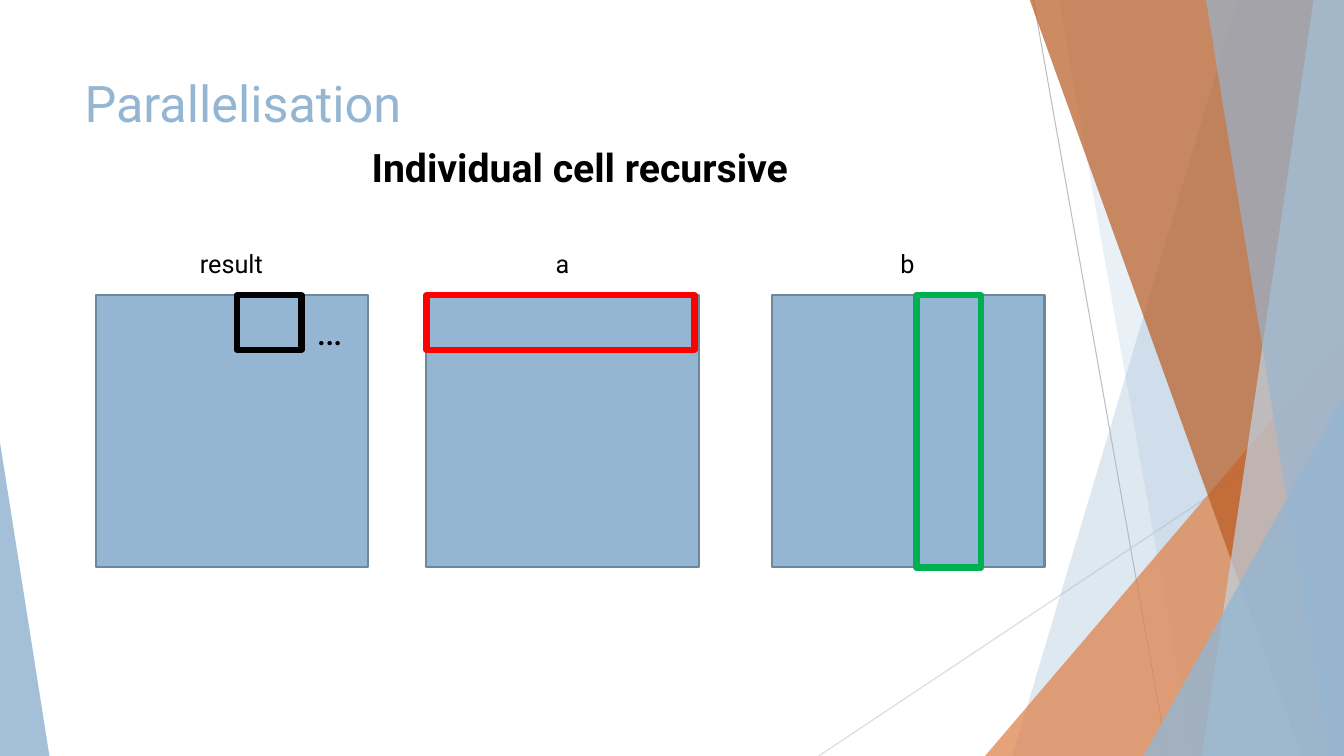
from lxml.etree import SubElement
from pptx import Presentation
from pptx.dml.color import RGBColor
from pptx.enum.shapes import MSO_CONNECTOR, MSO_SHAPE as SHAPE
from pptx.enum.text import MSO_ANCHOR as ANCHOR, PP_ALIGN as ALIGN
from pptx.oxml.ns import qn
from pptx.util import Inches, Pt

color = RGBColor.from_string
BLUE = "94B6D2"

presentation = Presentation()
presentation.slide_width, presentation.slide_height = Inches(13.33), Inches(7.5)
slide = presentation.slides.add_slide(presentation.slide_layouts[6])
shapes = slide.shapes


def paint(shape, fill=None, opacity=100, line=None, width=0):
    shape.shadow.inherit = False
    if fill:
        shape.fill.solid()
        shape.fill.fore_color.rgb = color(fill)
        if opacity < 100:
            fill_color = shape.fill._xPr.find(qn("a:solidFill"))[0]
            SubElement(fill_color, qn("a:alpha"), val=str(opacity * 1000))
    else:
        shape.fill.background()
    if line:
        shape.line.color.rgb = color(line)
        shape.line.width = Pt(width)
    else:
        shape.line.fill.background()


def add_label(text, box, size, align=ALIGN.CENTER, hue="000000", bold=False, wrap=False):
    text_box = shapes.add_textbox(*map(Inches, box))
    text_frame = text_box.text_frame
    text_frame.word_wrap = wrap
    text_frame.vertical_anchor = ANCHOR.TOP
    text_frame.text = text
    paragraph = text_frame.paragraphs[0]
    paragraph.alignment = align
    font = paragraph.runs[0].font
    font.name, font.size, font.bold = "Roboto", Pt(size), bold
    font.color.rgb = color(hue)


# Thin background lines
for ends, hue in [((10.25, 0, 11.58, 7.5), "BFBFBF"), ((13.33, 4.03, 8.12, 7.5), "D9D9D9")]:
    connector = shapes.add_connector(MSO_CONNECTOR.STRAIGHT, *map(Inches, ends))
    connector.line.color.rgb = color(hue)
    connector.line.width = Pt(0.75)
    SubElement(connector._element.spPr, qn("a:effectLst"))

# Translucent facets: bands give top and bottom x of their left edge,
# triangles give left, top, width and apex position; all reach the slide bottom
facets = [
    ("band", (12.28, 10.04), BLUE, 30),
    ("band", (10.5, 11.83), BLUE, 20),
    ("triangle", (9.77, 3.33, 3.56, 1), "DD8047", 72),
    ("band", (10.21, 12.91), "B95B22", 70),
    ("band", (13.03, 11.92), "BFD3E4", 70),
    ("band", (11.96, 13.18), BLUE, 65),
    ("triangle", (11.34, 3.93, 1.99, 1), BLUE, 80),
    ("triangle", (0, 4.39, 0.49, 0), BLUE, 85),
]
for kind, geometry, hue, opacity in facets:
    if kind == "band":
        top_x, bottom_x = geometry
        builder = shapes.build_freeform(Inches(top_x), Inches(-0.01))
        corners = [(13.33, -0.01), (13.33, 7.5), (bottom_x, 7.5)]
        builder.add_line_segments([(Inches(x), Inches(y)) for x, y in corners], close=True)
        facet = builder.convert_to_shape()
    else:
        left, top, width, apex = geometry
        facet = shapes.add_shape(SHAPE.ISOSCELES_TRIANGLE, Inches(left), Inches(top),
                                 Inches(width), Inches(7.5 - top))
        facet.adjustments[0] = apex
    paint(facet, hue, opacity)

# Title
add_label("Parallelisation", (0.74, 0.67, 9.4, 1.44), 36, ALIGN.LEFT, BLUE, wrap=True)

# Matrices with their names
for name, left, label_left, label_width in [("result", 0.95, 1.87, 0.85),
                                            ("a", 4.23, 5.41, 0.34),
                                            ("b", 7.66, 8.83, 0.34)]:
    matrix = shapes.add_shape(SHAPE.RECTANGLE, Inches(left), Inches(2.93), Inches(2.7), Inches(2.7))
    paint(matrix, BLUE, line="6D879B", width=1.5)
    add_label(name, (label_left, 2.41, label_width, 0.4), 18)

# Highlighted cell, row and column
for left, width, height, hue in [(2.35, 0.64, 0.54, "000000"),
                                 (4.23, 2.66, 0.54, "FF0000"),
                                 (9.09, 0.64, 2.7, "00B050")]:
    frame = shapes.add_shape(SHAPE.RECTANGLE, Inches(left), Inches(2.93), Inches(width), Inches(height))
    paint(frame, line=hue, width=4.5)

# Heading and ellipsis
add_label("Individual cell recursive", (3.44, 1.37, 4.62, 0.57), 28, bold=True)
add_label("…", (3.04, 2.99, 0.49, 0.57), 28, ALIGN.LEFT)

presentation.save("out.pptx")
